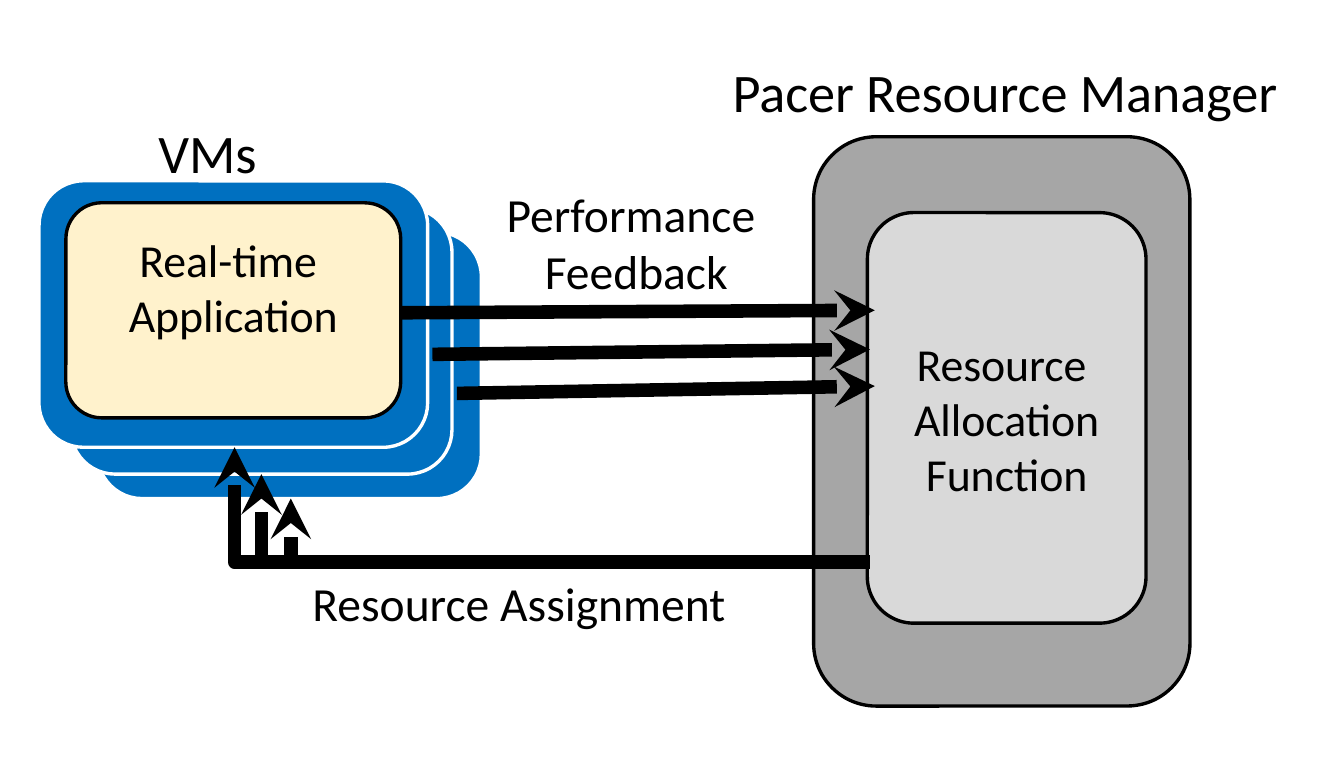
import pptx
import pptx.dml.color
import pptx.enum.shapes
import pptx.enum.text
import pptx.oxml
import pptx.oxml.ns
import pptx.util

Inches = pptx.util.Inches
Pt = pptx.util.Pt
RGBColor = pptx.dml.color.RGBColor
ALIGN = pptx.enum.text.PP_ALIGN
ANCHOR = pptx.enum.text.MSO_ANCHOR
CONNECTOR = pptx.enum.shapes.MSO_CONNECTOR
qn = pptx.oxml.ns.qn

BLACK = RGBColor(0x00, 0x00, 0x00)
WHITE = RGBColor(0xFF, 0xFF, 0xFF)
BLUE = RGBColor(0x00, 0x70, 0xC0)
CREAM = RGBColor(0xFF, 0xF2, 0xCC)
GRAY = RGBColor(0xA6, 0xA6, 0xA6)
LIGHT_GRAY = RGBColor(0xD9, 0xD9, 0xD9)

prs = pptx.Presentation()
prs.slide_width, prs.slide_height = Inches(5.5), Inches(3.2)
s = prs.slides.add_slide(prs.slide_layouts[6])


def write(sp, text, size=14, align=ALIGN.CENTER, anchor=ANCHOR.TOP,
          margins=(0.1, 0.05), wrap=False):
    tf = sp.text_frame
    tf.word_wrap = wrap
    tf.vertical_anchor = anchor
    tf.margin_left = tf.margin_right = Inches(margins[0])
    tf.margin_top = tf.margin_bottom = Inches(margins[1])
    for i, line in enumerate(text.split("\n")):
        p = tf.paragraphs[0] if i == 0 else tf.add_paragraph()
        p.alignment = align
        r = p.add_run()
        r.text = line
        r.font.name = "Calibri"
        r.font.size = Pt(size)
        r.font.color.rgb = BLACK


def add_arrow(kind, x1, y1, x2, y2):
    c = s.shapes.add_connector(kind, Inches(x1), Inches(y1),
                               Inches(x2), Inches(y2))
    c.line.color.rgb = BLACK
    c.line.width = Pt(4)
    ln = c.line._get_or_add_ln()
    ln.append(pptx.oxml.parse_xml(
        '<a:tailEnd xmlns:a="http://schemas.openxmlformats.org/drawingml/2006/main"'
        ' type="stealth"/>'))
    spPr = c._element.spPr
    spPr.append(spPr.makeelement(qn("a:effectLst"), {}))
    return spPr


# Rounded boxes: manager, three stacked VMs, application, allocation function
boxes = [
    (3.33, 0.56, 1.54, 2.33, GRAY, BLACK),
    (0.4, 0.95, 1.57, 1.09, BLUE, WHITE),
    (0.29, 0.85, 1.56, 1.09, BLUE, WHITE),
    (0.16, 0.74, 1.59, 1.09, BLUE, WHITE),
    (0.27, 0.83, 1.37, 0.88, CREAM, BLACK),
    (3.55, 0.87, 1.14, 1.68, LIGHT_GRAY, BLACK),
]
for x, y, w, h, fill, line in boxes:
    sp = s.shapes.add_shape(pptx.enum.shapes.MSO_SHAPE.ROUNDED_RECTANGLE,
                            Inches(x), Inches(y), Inches(w), Inches(h))
    sp.shadow.inherit = False
    sp.fill.solid()
    sp.fill.fore_color.rgb = fill
    sp.line.color.rgb = line
    sp.line.width = Pt(1)
write(sp, "Resource \nAllocation\nFunction", size=13.5, anchor=ANCHOR.MIDDLE,
      margins=(0.07, 0.04), wrap=True)

# Performance feedback arrows
for x1, y1, x2, y2 in [(1.64, 1.28, 3.58, 1.27), (1.77, 1.45, 3.56, 1.43),
                       (1.87, 1.61, 3.58, 1.58)]:
    add_arrow(CONNECTOR.STRAIGHT, x1, y1, x2, y2)

# Resource assignment arrows: one bend, turned to run left and then up
for x, y, start in [(0.96, 1.83, 3.55), (1.07, 1.94, 3.56), (1.19, 2.04, 3.54)]:
    spPr = add_arrow(CONNECTOR.ELBOW, x, y, start, 2.3)
    spPr.find(qn("a:prstGeom")).set("prst", "bentConnector2")
    spPr.find(qn("a:xfrm")).set("rot", "10800000")

# Labels
labels = [
    ("VMs", 0.55, 0.44, 0.61, 0.37, 16, ALIGN.LEFT),
    ("Real-time \nApplication", 0.42, 0.9, 1.07, 0.56, 13.5, ALIGN.CENTER),
    ("Performance \nFeedback", 1.97, 0.71, 1.27, 0.57, 14, ALIGN.CENTER),
    ("Resource Assignment", 1.17, 2.3, 1.91, 0.34, 14, ALIGN.CENTER),
    ("Pacer Resource Manager", 2.9, 0.19, 2.6, 0.37, 16, ALIGN.LEFT),
]
for text, x, y, w, h, size, align in labels:
    sp = s.shapes.add_textbox(Inches(x), Inches(y), Inches(w), Inches(h))
    write(sp, text, size=size, align=align)

prs.save("out.pptx")
